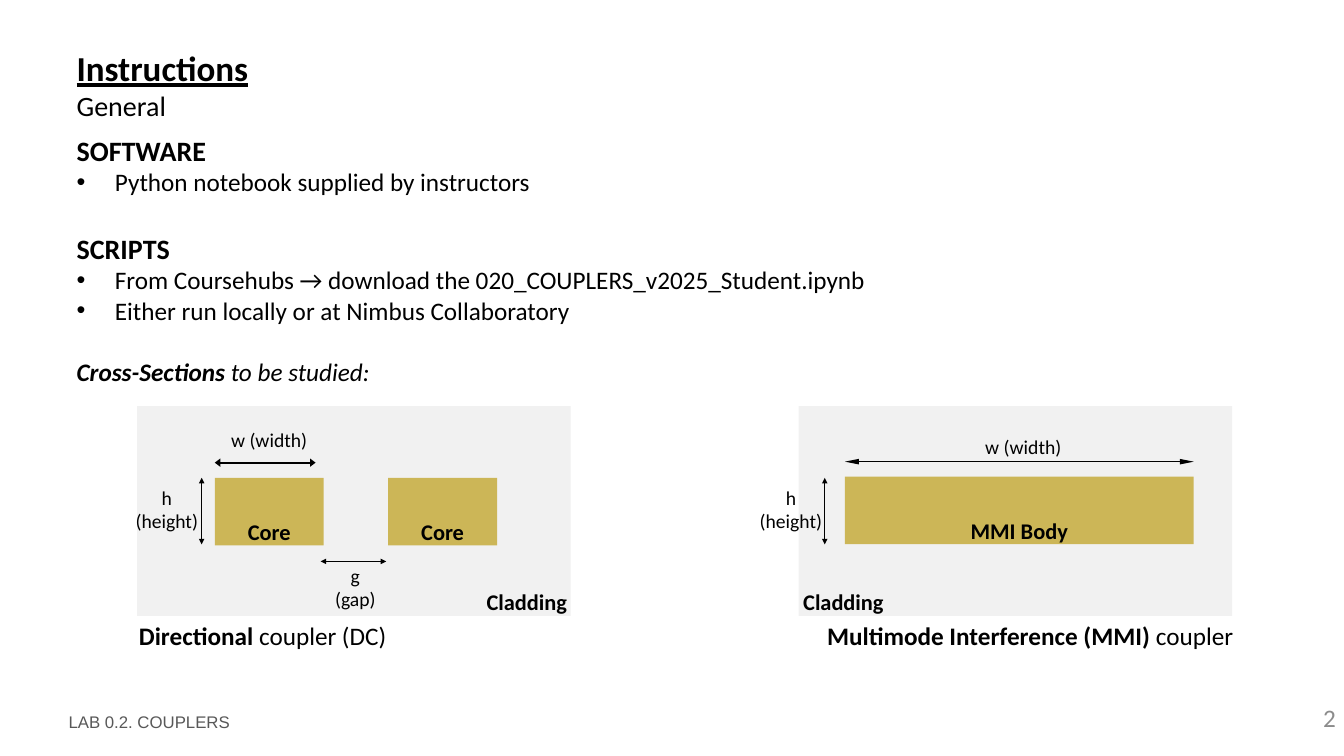
from dataclasses import dataclass

from lxml.etree import SubElement
from pptx import Presentation
from pptx.dml.color import RGBColor
from pptx.enum.shapes import MSO_CONNECTOR as Connector, MSO_SHAPE as Preset
from pptx.enum.text import MSO_ANCHOR as Anchor, MSO_AUTO_SIZE as AutoSize, PP_ALIGN as Align
from pptx.oxml.ns import qn
from pptx.slide import Slide
from pptx.text.text import Font, TextFrame
from pptx.util import Inches, Pt

BLACK, PANEL_GREY, CORE_GOLD = "000000", "F1F1F1", "CCB657"


@dataclass(frozen=True)
class Words:
    text: str
    bold: bool = False
    italic: bool = False
    underline: bool = False


@dataclass(frozen=True)
class Line:
    words: tuple[Words, ...]
    size: float
    align: Align = Align.LEFT
    bullet: bool = False
    before: float = 0
    face: str = "Calibri"
    colour: str = BLACK


@dataclass(frozen=True)
class Box:
    left: float
    top: float
    width: float
    height: float


@dataclass(frozen=True)
class Block:
    box: Box
    fill: str
    name: str = ""


@dataclass(frozen=True)
class Label:
    box: Box
    lines: tuple[Line, ...]
    margins: tuple[float, float] = (0, 0.02)
    wrap: bool = False
    anchor: Anchor = Anchor.TOP


@dataclass(frozen=True)
class Dimension:
    start: tuple[float, float]
    end: tuple[float, float]
    weight: float
    head_width: str = "sm"
    head_length: str = "sm"


def rgb(colour: str) -> RGBColor:
    return RGBColor.from_string(colour)


def set_font(font: Font, line: Line) -> None:
    font.name, font.size = line.face, Pt(line.size)
    font.color.rgb = rgb(line.colour)


def set_emphasis(font: Font, words: Words) -> None:
    font.bold, font.italic, font.underline = words.bold, words.italic, words.underline


def write(frame: TextFrame, lines: tuple[Line, ...], margins: tuple[float, float],
          wrap: bool, anchor: Anchor) -> None:
    frame.auto_size, frame.word_wrap, frame.vertical_anchor = AutoSize.NONE, wrap, anchor
    frame.margin_left = frame.margin_right = Inches(margins[0])
    frame.margin_top = frame.margin_bottom = Inches(margins[1])
    for index, line in enumerate(lines):
        paragraph = frame.add_paragraph() if index else frame.paragraphs[0]
        paragraph.alignment = line.align
        paragraph.space_before = Pt(line.before)
        indent = Inches(0.38) if line.bullet else 0
        properties = paragraph._p.get_or_add_pPr()
        properties.set("marL", str(indent))
        properties.set("indent", str(-indent))
        if line.bullet:
            SubElement(properties, qn("a:buFont"), typeface="Arial")
            SubElement(properties, qn("a:buChar"), char="•")
        else:
            SubElement(properties, qn("a:buNone"))
        set_font(paragraph.font, line)
        for words in line.words:
            run = paragraph.add_run()
            run.text = words.text
            set_font(run.font, line)
            set_emphasis(run.font, words)


def place(shape, box: Box) -> None:
    shape.left, shape.top = Inches(box.left), Inches(box.top)
    shape.width, shape.height = Inches(box.width), Inches(box.height)


def inches(box: Box) -> tuple[int, ...]:
    return tuple(Inches(v) for v in (box.left, box.top, box.width, box.height))


def draw_block(slide: Slide, block: Block) -> None:
    shape = slide.shapes.add_shape(Preset.RECTANGLE, *inches(block.box))
    shape.shadow.inherit = False
    shape.fill.solid()
    shape.fill.fore_color.rgb = rgb(block.fill)
    shape.line.fill.background()
    if block.name:
        name = Line((Words(block.name, bold=True),), 16, Align.CENTER)
        write(shape.text_frame, (name,), (0, 0), True, Anchor.BOTTOM)


def draw_label(slide: Slide, label: Label) -> None:
    frame = slide.shapes.add_textbox(*inches(label.box)).text_frame
    write(frame, label.lines, label.margins, label.wrap, label.anchor)


def draw_dimension(slide: Slide, dimension: Dimension) -> None:
    ends = (Inches(v) for v in dimension.start + dimension.end)
    arrow = slide.shapes.add_connector(Connector.STRAIGHT, *ends)
    arrow.line.width = Pt(dimension.weight)
    arrow.line.color.rgb = rgb(BLACK)
    outline = arrow.line._get_or_add_ln()
    for tip in ("a:headEnd", "a:tailEnd"):
        SubElement(outline, qn(tip), type="triangle",
                   w=dimension.head_width, len=dimension.head_length)
    SubElement(arrow._element.spPr, qn("a:effectLst"))


def note(box: Box, *texts: str, size: float = 14, bold: bool = False) -> Label:
    return Label(box, tuple(Line((Words(t, bold),), size, Align.CENTER) for t in texts))


def caption(box: Box, name: str, rest: str, align: Align) -> Label:
    line = Line((Words(name, bold=True), Words(rest)), 18, align)
    return Label(box, (line,), (0.1, 0.05), True)


TITLE = (
    Line((Words("Instructions", bold=True, underline=True),), 25),
    Line((Words("General"),), 20),
)
INSTRUCTIONS = (
    Line((Words("SOFTWARE", bold=True),), 20),
    Line((Words("Python notebook supplied by instructors"),), 18, bullet=True),
    Line((Words("SCRIPTS", bold=True),), 20, before=24.4),
    Line((Words("From Coursehubs → download the 020_COUPLERS_v2025_Student.ipynb"),), 18, bullet=True),
    Line((Words("Either run locally or at Nimbus Collaboratory"),), 18, bullet=True),
    Line((Words("Cross-Sections ", bold=True, italic=True),
          Words("to be studied:", italic=True)), 18, before=22),
)
BLOCKS = (
    *(Block(Box(left, 4.03, 4.3, 2.08), PANEL_GREY) for left in (1.36, 7.92)),
    *(Block(Box(left, 4.74, 1.08, 0.67), CORE_GOLD, "Core") for left in (2.13, 3.85)),
    Block(Box(8.38, 4.73, 3.46, 0.67), CORE_GOLD, "MMI Body"),
)
DIMENSIONS = (
    Dimension((2.13, 4.59), (3.13, 4.59), 1.25, head_width="med"),
    Dimension((8.38, 4.58), (11.84, 4.58), 0.75, head_length="lg"),
    Dimension((3.18, 5.57), (3.83, 5.57), 0.75),
    *(Dimension((x, 4.74), (x, 5.4), 1) for x in (2, 8.18)),
)
LABELS = (
    *(note(Box(left, top, 0.8, 0.25), "w (width)") for left, top in ((2.27, 4.22), (9.75, 4.29))),
    *(note(Box(left, 4.8, 0.63, 0.5), "h", "(height)") for left in (1.34, 7.53)),
    note(Box(3.21, 5.57, 0.63, 0.5), "g", "(gap)"),
    *(note(Box(left, 5.81, 0.81, 0.29), "Cladding", size=16, bold=True) for left in (4.82, 7.96)),
    caption(Box(1.28, 6.1, 3, 0.4), "Directional ", "coupler (DC)", Align.LEFT),
    caption(Box(7.83, 6.1, 4.5, 0.4), "Multimode Interference (MMI) ", "coupler", Align.RIGHT),
    Label(Box(0.68, 7.06, 3, 0.2),
          (Line((Words("LAB 0.2. COUPLERS"),), 12, face="Arial", colour="585858"),),
          (0, 0), True, Anchor.MIDDLE),
    Label(Box(10.18, 6.97, 3.07, 0.38),
          (Line((Words("2"),), 18, Align.RIGHT, colour="8C8C8C"),), (0, 0), True),
)


def main() -> None:
    deck = Presentation()
    deck.slide_width, deck.slide_height = Inches(13.33), Inches(7.5)
    slide = deck.slides.add_slide(deck.slide_layouts[1])
    title, instructions = slide.shapes.title, slide.placeholders[1]
    place(title, Box(0.76, 0.45, 6.73, 0.77))
    write(title.text_frame, TITLE, (0, 0.01), True, Anchor.TOP)
    place(instructions, Box(0.66, 1.27, 12.08, 5.42))
    write(instructions.text_frame, INSTRUCTIONS, (0.1, 0.05), True, Anchor.TOP)
    for block in BLOCKS:
        draw_block(slide, block)
    for dimension in DIMENSIONS:
        draw_dimension(slide, dimension)
    for label in LABELS:
        draw_label(slide, label)
    deck.save("out.pptx")


if __name__ == "__main__":
    main()
